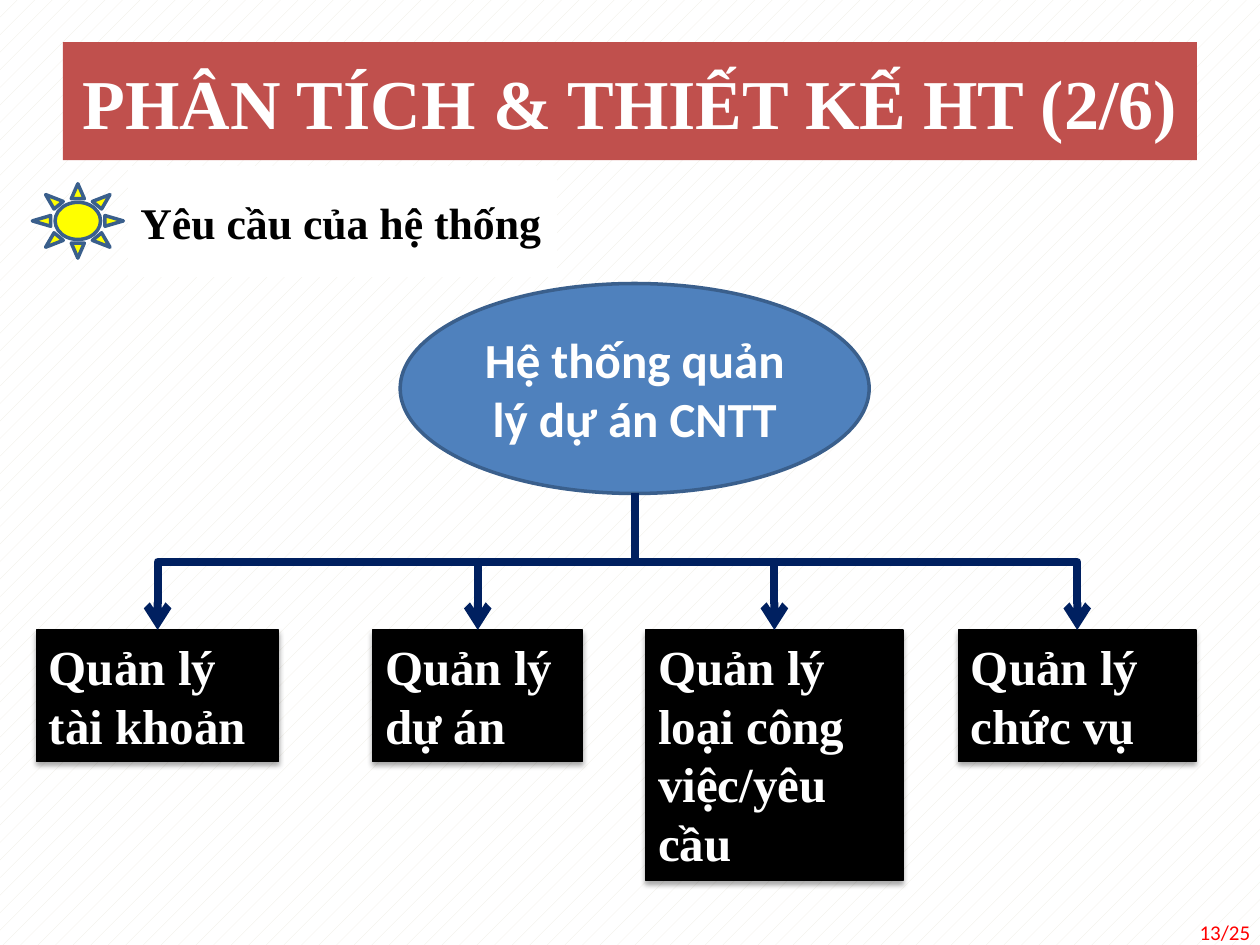
from lxml import etree
from pptx import Presentation
from pptx import util as u
from pptx.dml.color import RGBColor
from pptx.enum import dml, shapes, text
from pptx.oxml.ns import qn

# Content: places are left, top, width, height in points
TITLE = ("PHÂN TÍCH & THIẾT KẾ HT (2/6)", (36, 24, 648, 67.5))
SUBTITLE = ("Yêu cầu của hệ thống", (73.2, 95, 245, 63.4))
PAGE = ("13/25", (553.7, 518.4, 167.8, 28.8))
SYSTEM = ("Hệ thống quản lý dự án CNTT", (228.7, 162, 268, 120))
SUN_PLACE = (18.5, 105, 52, 42.5)
MODULES_TOP = 360
MODULES = [  # text, left, width, height
    ("Quản lý tài khoản", 20.9, 138.3, 75.2),
    ("Quản lý dự án", 213, 120, 75.2),
    ("Quản lý loại công việc/yêu cầu", 369, 147, 143),
    ("Quản lý chức vụ", 547.8, 135.6, 75.2),
]

THEME = dict(
    serif="Times New Roman", sans="Calibri",
    title_size=40, subtitle_size=25, body_size=28, page_size=12,
    white="FFFFFF", black="000000", red="C0504D", blue="4F81BD",
    edge="3A5F8C", sun="FFFF00", arrow="002060", page="FF0000", pattern="EEECE1",
)


def color(name):
    return RGBColor.from_string(THEME[name])


def add_part(kind, place, fill, line=None, width=2):
    part = slide.shapes.add_shape(kind, *map(u.Pt, place))
    part.shadow.inherit = False
    part.fill.solid()
    part.fill.fore_color.rgb = color(fill)
    if line:
        part.line.color.rgb = color(line)
        part.line.width = u.Pt(width)
    else:
        part.line.fill.background()
    return part


def put_text(part, words, size, font="serif", ink="white", bold=True,
             align=text.PP_ALIGN.LEFT, anchor=text.MSO_ANCHOR.MIDDLE):
    frame = part.text_frame
    frame.word_wrap = True
    frame.vertical_anchor = anchor
    paragraph = frame.paragraphs[0]
    paragraph.alignment = align
    run = paragraph.add_run()
    run.text = words
    run.font.name = THEME[font]
    run.font.size = u.Pt(THEME[size])
    run.font.bold = bold
    run.font.color.rgb = color(ink)


def add_soft_shadow(part):
    effects = part._element.spPr.find(qn("a:effectLst"))
    shadow = etree.SubElement(
        effects, qn("a:outerShdw"), blurRad=str(u.Pt(3.1)), dist=str(u.Pt(1.8)),
        dir="5400000", rotWithShape="0")
    tint = etree.SubElement(shadow, qn("a:srgbClr"), val=THEME["black"])
    etree.SubElement(tint, qn("a:alpha"), val="35000")


def add_branch(x1, y1, x2, y2):
    """Elbow arrow that leaves downwards: a level elbow turned by a quarter."""
    drop, span = y2 - y1, abs(x2 - x1)
    left = (x1 + x2 - drop) / 2
    top = (y1 + y2 - span) / 2
    start, end = left, left + drop
    turn = 90
    if x2 > x1:
        start, end, turn = end, start, 270
    branch = slide.shapes.add_connector(
        shapes.MSO_CONNECTOR.ELBOW, *map(u.Pt, (start, top, end, top + span)))
    branch.line.color.rgb = color("arrow")
    branch.line.width = u.Pt(4.5)
    properties = branch._element.spPr
    properties.find(qn("a:xfrm")).set("rot", str(turn * 60000))
    etree.SubElement(properties.find(qn("a:ln")), qn("a:tailEnd"), type="arrow")
    etree.SubElement(properties, qn("a:effectLst"))


deck = Presentation()
deck.slide_width, deck.slide_height = u.Pt(720), u.Pt(540)
slide = deck.slides.add_slide(deck.slide_layouts[6])

# Patterned background
backdrop = slide.background.fill
backdrop.patterned()
backdrop.pattern = dml.MSO_PATTERN.PERCENT_5
backdrop.fore_color.rgb = color("pattern")
backdrop.back_color.rgb = color("white")

# Page number
words, place = PAGE
page = slide.shapes.add_textbox(*map(u.Pt, place))
put_text(page, words, "page_size", font="sans", ink="page", bold=False,
         align=text.PP_ALIGN.RIGHT)

# Title band
words, place = TITLE
title = add_part(shapes.MSO_SHAPE.RECTANGLE, place, "red")
put_text(title, words, "title_size", align=text.PP_ALIGN.CENTER)

# Subtitle with its sun
add_part(shapes.MSO_SHAPE.SUN, SUN_PLACE, "sun", "edge")
words, place = SUBTITLE
subtitle = add_part(shapes.MSO_SHAPE.RECTANGLE, place, "white")
put_text(subtitle, words, "subtitle_size", ink="black")

# System at the root of the tree
words, place = SYSTEM
system = add_part(shapes.MSO_SHAPE.OVAL, place, "blue", "edge")
put_text(system, words, "body_size", font="sans", align=text.PP_ALIGN.CENTER)
root_x = place[0] + place[2] / 2
root_y = place[1] + place[3]

# Modules, each under its branch
for words, left, width, height in MODULES:
    module = add_part(shapes.MSO_SHAPE.RECTANGLE, (left, MODULES_TOP, width, height),
                      "black", "black", 0.75)
    add_soft_shadow(module)
    put_text(module, words, "body_size", anchor=text.MSO_ANCHOR.TOP)
    module.text_frame.auto_size = text.MSO_AUTO_SIZE.SHAPE_TO_FIT_TEXT
for words, left, width, height in MODULES:
    add_branch(root_x, root_y, left + width / 2, MODULES_TOP)

deck.save("out.pptx")
